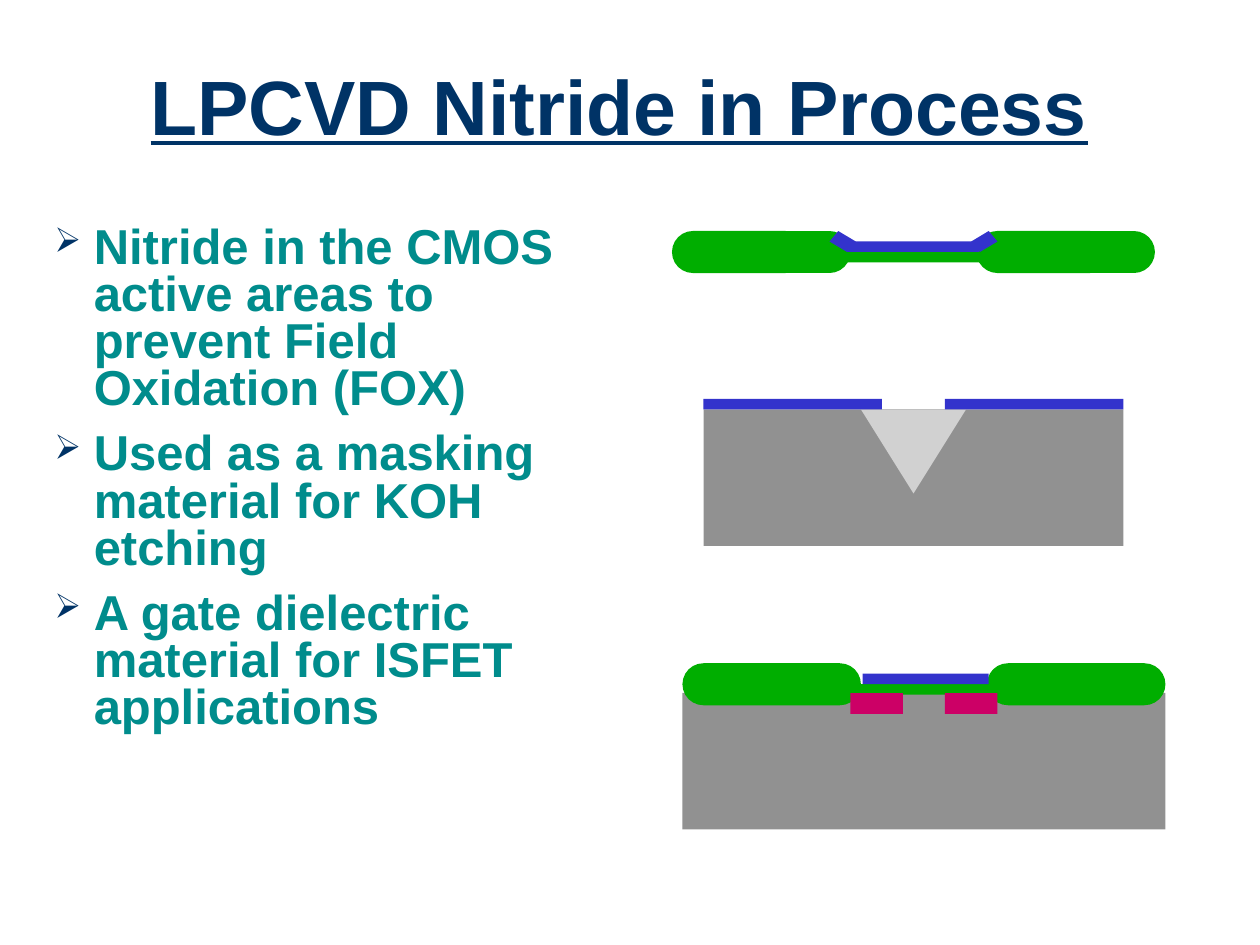
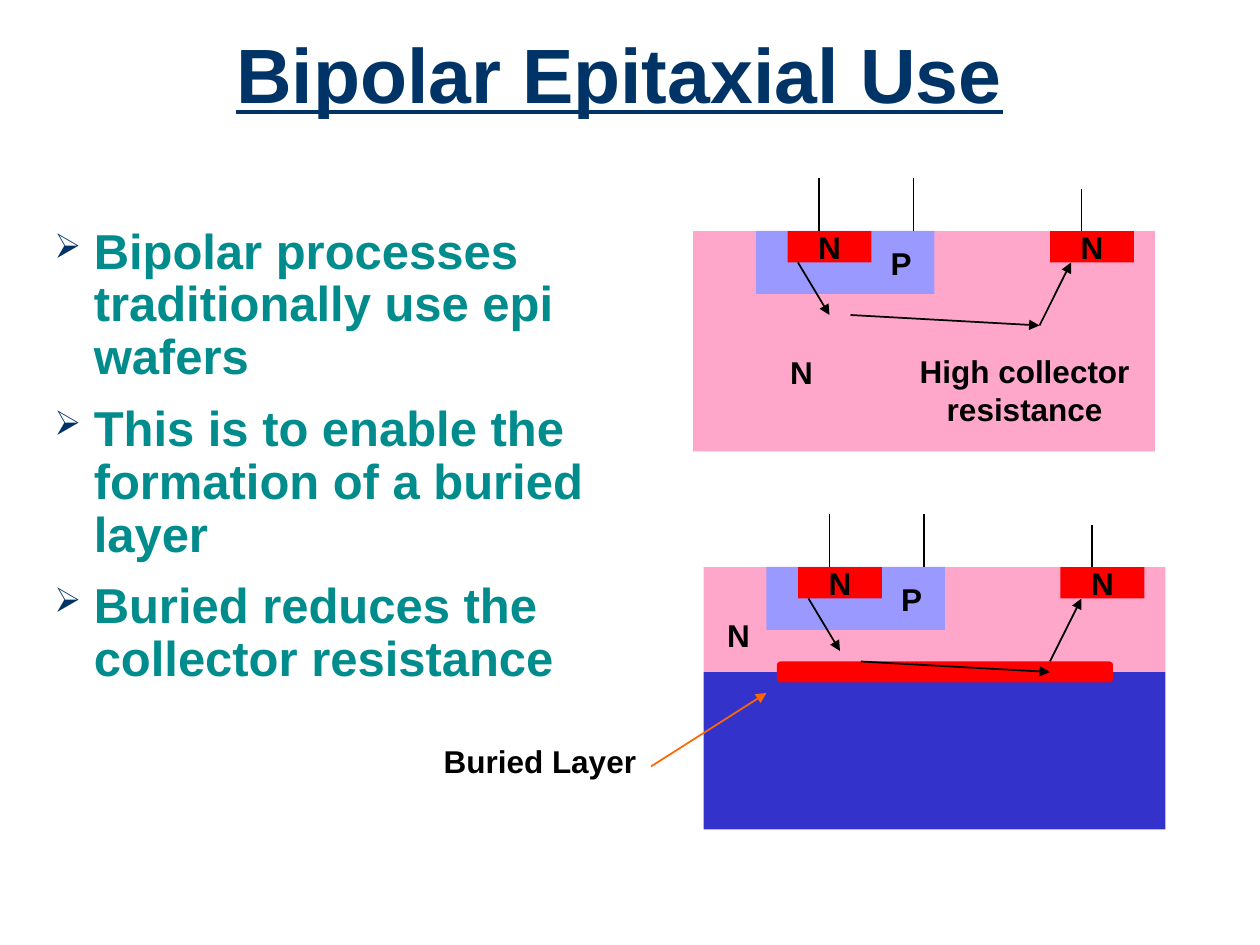
from lxml import etree
from pptx import Presentation
from pptx.dml.color import RGBColor
from pptx.enum import shapes, text
from pptx.oxml.ns import qn
from pptx.util import Pt

FONT = "Arial"
COLOURS = {
    "title": "003366", "body": "008C8C", "ink": "000000",
    "oxide": "00AE00", "nitride": "3333CC", "silicon": "919191",
    "pit": "D1D1D1", "implant": "CC0066", "epi": "FFA7CB",
    "p_well": "9999FF", "n_plus": "FF0000", "substrate": "3333CC",
    "pointer": "FF6600",
}
RECTANGLE = shapes.MSO_SHAPE.RECTANGLE
ROUNDED = shapes.MSO_SHAPE.ROUNDED_RECTANGLE
CENTER = text.PP_ALIGN.CENTER


def colour(name):
    return RGBColor.from_string(COLOURS[name])


# Text
def write(text_frame, lines, size, colour_name, align=CENTER, underline=False):
    text_frame.text = "\n".join(lines)
    for paragraph in text_frame.paragraphs:
        paragraph.alignment = align
        for run in paragraph.runs:
            run.font.name, run.font.size = FONT, Pt(size)
            run.font.bold, run.font.underline = True, underline
            run.font.color.rgb = colour(colour_name)


def add_text_box(slide, left, top, width, height, lines, size=18,
                 colour_name="ink", **style):
    box = slide.shapes.add_textbox(Pt(left), Pt(top), Pt(width), Pt(height))
    frame = box.text_frame
    frame.word_wrap = True
    frame.vertical_anchor = text.MSO_ANCHOR.MIDDLE
    write(frame, lines, size, colour_name, **style)
    return frame


def add_title(slide, top, title):
    frame = add_text_box(slide, 18, top, 672, 90, [title], 44, "title", underline=True)
    frame.paragraphs[0].line_spacing = 0.9


def add_bullets(slide, lines, line_spacing):
    frame = add_text_box(slide, 24, 126, 330, 324, lines, 28, "body",
                         align=text.PP_ALIGN.LEFT)
    frame.vertical_anchor = text.MSO_ANCHOR.TOP
    for paragraph in frame.paragraphs:
        paragraph.line_spacing = line_spacing
        paragraph.space_before = Pt(10.5)
        properties = paragraph._p.get_or_add_pPr()
        properties.set("marL", str(Pt(22.5)))
        properties.set("indent", str(-Pt(22.5)))
        bullet_colour = etree.SubElement(properties, qn("a:buClr"))
        etree.SubElement(bullet_colour, qn("a:srgbClr"), val=COLOURS["title"])
        etree.SubElement(properties, qn("a:buSzPct"), val="70000")
        etree.SubElement(properties, qn("a:buChar"), char="➢")


# Shapes and lines
def paint(shape, fill):
    shape.shadow.inherit = False
    shape.fill.solid()
    shape.fill.fore_color.rgb = colour(fill)
    shape.line.fill.background()


def add_block(slide, left, top, width, height, fill, kind=RECTANGLE,
              label=None, label_inset=0):
    block = slide.shapes.add_shape(kind, Pt(left), Pt(top), Pt(width), Pt(height))
    paint(block, fill)
    if label:
        frame = block.text_frame
        frame.margin_left, frame.margin_right = Pt(label_inset), 0
        frame.vertical_anchor = text.MSO_ANCHOR.MIDDLE
        write(frame, [label], 18, "ink")
    return block


def add_polygon(slide, points, fill):
    start, *others = [(Pt(x), Pt(y)) for x, y in points]
    builder = slide.shapes.build_freeform(*start)
    builder.add_line_segments(others, close=True)
    paint(builder.convert_to_shape(), fill)


def add_line(slide, start, end, colour_name="ink", arrow=True):
    line = slide.shapes.add_connector(
        shapes.MSO_CONNECTOR.STRAIGHT, *[Pt(value) for value in (*start, *end)])
    line.line.color.rgb = colour(colour_name)
    line.line.width = Pt(1)
    if arrow:
        etree.SubElement(line.line._get_or_add_ln(), qn("a:tailEnd"), type="triangle")
    etree.SubElement(line._element.spPr, qn("a:effectLst"))


# Device parts
def add_field_oxide(slide, left, top):
    for pad_left in (left, left + 174):
        pad = add_block(slide, pad_left, top, 102, 24, "oxide", ROUNDED)
        pad.adjustments[0] = 0.5
    add_block(slide, left + 96, top + 12, 90, 6, "oxide")


def add_transistor(slide, left, top, depth):
    add_block(slide, left, top, 264, depth, "epi")
    add_block(slide, left + 36, top, 102, 36, "p_well", label="P", label_inset=64)
    for offset in (54, 204):
        add_block(slide, left + offset, top, 48, 18, "n_plus", label="N")
    for offset, length in ((72, 30), (126, 30), (222, 24)):
        add_line(slide, (left + offset, top - length), (left + offset, top), arrow=False)
    add_line(slide, (left + 60, top + 18), (left + 78, top + 48))
    add_line(slide, (left + 198, top + 54), (left + 216, top + 18))


# Slides
def build_nitride_slide(slide):
    add_title(slide, 18, "LPCVD Nitride in Process")
    add_bullets(slide, [
        "Nitride in the CMOS active areas to prevent Field Oxidation (FOX)",
        "Used as a masking material for KOH etching",
        "A gate dielectric material for ISFET applications"], 0.8)

    # Nitride over the active area, with mirrored bevels
    add_field_oxide(slide, 384, 132)
    add_block(slide, 484, 138, 75.5, 6, "nitride")
    bevel = [(479, 132), (474, 138), (484, 144), (489, 138)]
    axis = 522
    add_polygon(slide, bevel, "nitride")
    add_polygon(slide, [(2 * axis - x, y) for x, y in bevel], "nitride")

    # Etch mask
    add_block(slide, 402, 234, 240, 78, "silicon")
    pit = add_block(slide, 492, 234, 60, 48, "pit", shapes.MSO_SHAPE.ISOSCELES_TRIANGLE)
    pit.rotation = 180
    for left in (402, 540):
        add_block(slide, left, 228, 102, 6, "nitride")

    # Gate dielectric
    add_block(slide, 390, 396, 276, 78, "silicon")
    add_field_oxide(slide, 390, 379)
    add_block(slide, 493, 385, 72, 6, "nitride")
    for left in (486, 540):
        add_block(slide, left, 396, 30, 12, "implant")


def build_bipolar_slide(slide):
    add_title(slide, 0, "Bipolar Epitaxial Use")
    add_bullets(slide, [
        "Bipolar processes traditionally use epi wafers",
        "This is to enable the formation of a buried layer",
        "Buried reduces the collector resistance"], 0.9)

    # Without a buried layer
    add_transistor(slide, 396, 132, 126)
    add_line(slide, (486, 180), (594, 186))
    add_text_box(slide, 440, 198, 36, 29, ["N"])
    add_text_box(slide, 513, 198, 145, 50, ["High collector", "resistance"])

    # With a buried layer
    add_transistor(slide, 402, 324, 60)
    add_text_box(slide, 404, 348, 36, 29, ["N"])
    add_block(slide, 402, 384, 264, 90, "substrate")
    add_block(slide, 444, 378, 192, 12, "n_plus", ROUNDED)
    add_line(slide, (492, 378), (600, 384))
    add_text_box(slide, 243, 420, 131, 29, ["Buried Layer"])
    add_line(slide, (372, 438), (438, 396), "pointer")


def main():
    presentation = Presentation()
    presentation.slide_width, presentation.slide_height = Pt(720), Pt(540)
    for build in (build_nitride_slide, build_bipolar_slide):
        build(presentation.slides.add_slide(presentation.slide_layouts[6]))
    presentation.save("out.pptx")


if __name__ == "__main__":
    main()
